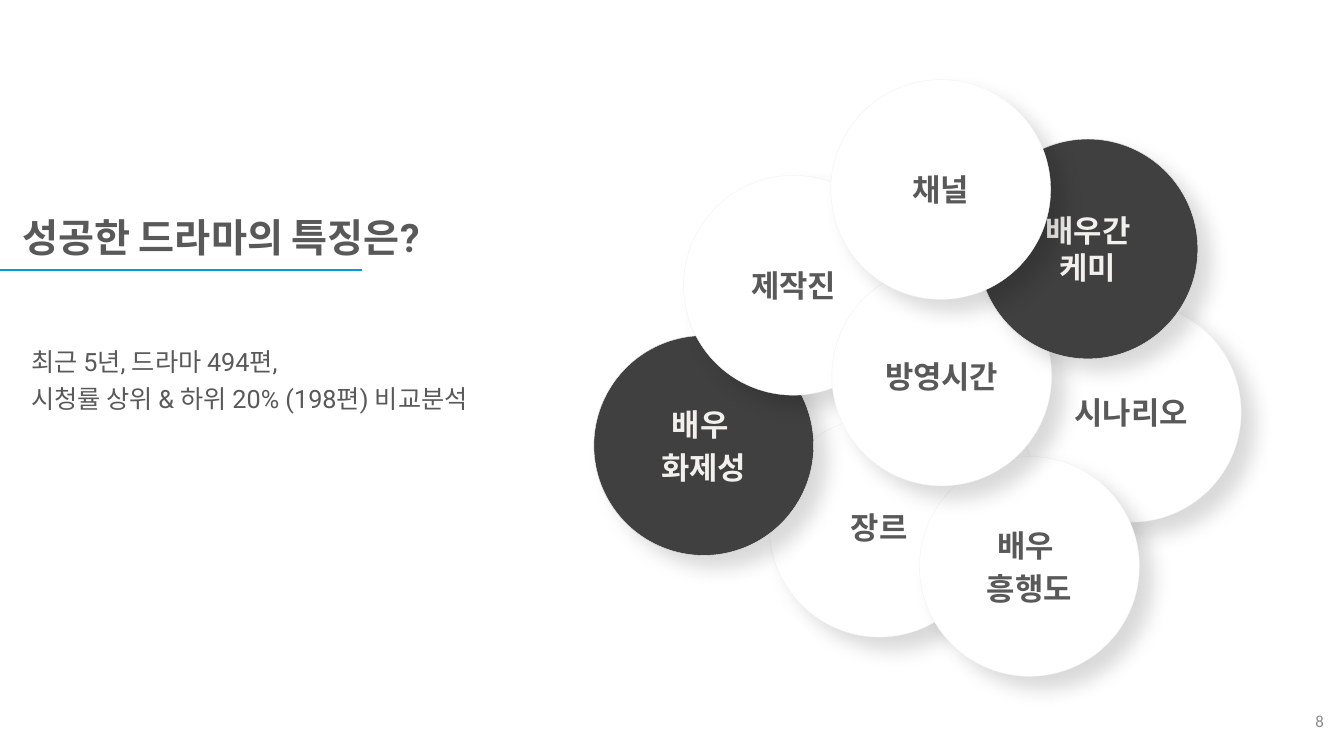
from dataclasses import dataclass

from lxml import etree
from pptx import Presentation
from pptx.dml.color import RGBColor
from pptx.enum.shapes import MSO_CONNECTOR, MSO_SHAPE
from pptx.enum.text import MSO_ANCHOR, PP_ALIGN
from pptx.oxml.ns import qn
from pptx.util import Inches, Pt

OVAL = MSO_SHAPE.OVAL
STRAIGHT = MSO_CONNECTOR.STRAIGHT
TOP, MIDDLE = MSO_ANCHOR.TOP, MSO_ANCHOR.MIDDLE
LEFT, CENTER, RIGHT = PP_ALIGN.LEFT, PP_ALIGN.CENTER, PP_ALIGN.RIGHT


@dataclass(frozen=True)
class Theme:
    font: str = "Roboto"
    number_font: str = "Calibri"
    text: str = "595959"
    muted: str = "8C8C8C"
    accent: str = "019BE0"
    light: str = "FFFFFF"
    dark: str = "404040"
    on_dark: str = "F2F0EC"
    outline: str = "F2F2F2"
    shadow: str = "000000"
    title_size: int = 28
    circle_size: int = 22
    body_size: int = 18
    number_size: int = 12


class SlideBuilder:
    def __init__(self, slide, theme):
        self.s = slide
        self.theme = theme
        self.circles = slide.shapes.add_group_shape()

    def add_lines(self, tf, lines, size, color, bold=False, align=LEFT, after=0, font=None):
        for i, line in enumerate(lines):
            p = tf.paragraphs[0] if i == 0 else tf.add_paragraph()
            p.alignment = align
            p.space_after = Pt(after)
            r = p.add_run()
            r.text = line
            r.font.name = font or self.theme.font
            r.font.size = Pt(size)
            r.font.bold = bold
            r.font.color.rgb = RGBColor.from_string(color)

    def text(self, box, lines, size, color, anchor=TOP, inset=True, **style):
        tf = self.s.shapes.add_textbox(*map(Inches, box)).text_frame
        tf.word_wrap = True
        tf.vertical_anchor = anchor
        if not inset:
            tf.margin_left = tf.margin_right = tf.margin_top = tf.margin_bottom = 0
        self.add_lines(tf, lines, size, color, **style)

    def rule(self, x1, x2, y):
        line = self.s.shapes.add_connector(
            STRAIGHT, Inches(x1), Inches(y), Inches(x2), Inches(y))
        line.line.color.rgb = RGBColor.from_string(self.theme.accent)
        line.line.width = Pt(1.25)
        etree.SubElement(line._element.spPr, qn("a:effectLst"))

    def soft_shadow(self, sp):
        sp.shadow.inherit = False
        effects = sp._element.spPr.find(qn("a:effectLst"))
        outer = etree.SubElement(
            effects, qn("a:outerShdw"), blurRad=str(Pt(14)), dist=str(Pt(13)),
            dir=str(43 * 60000), algn="tl", rotWithShape="0")
        color = etree.SubElement(outer, qn("a:srgbClr"), val=self.theme.shadow)
        etree.SubElement(color, qn("a:alpha"), val="15000")

    def circle(self, x, y, lines, dark=False, after=0):
        t = self.theme
        d = Inches(2.18)
        sp = self.circles.shapes.add_shape(OVAL, Inches(x), Inches(y), d, d)
        sp.fill.solid()
        sp.fill.fore_color.rgb = RGBColor.from_string(t.dark if dark else t.light)
        sp.line.color.rgb = RGBColor.from_string(t.outline)
        sp.line.width = Pt(0.25)
        self.soft_shadow(sp)
        tf = sp.text_frame
        tf.word_wrap = True
        tf.vertical_anchor = MIDDLE
        self.add_lines(tf, lines, t.circle_size, t.on_dark if dark else t.text,
                       bold=True, align=CENTER, after=after)


def main():
    prs = Presentation()
    prs.slide_width, prs.slide_height = Inches(13.33), Inches(7.5)
    theme = Theme()
    b = SlideBuilder(prs.slides.add_slide(prs.slide_layouts[6]), theme)

    b.text((10.23, 6.95, 3, 0.4), ["8"], theme.number_size, theme.muted,
           anchor=MIDDLE, align=RIGHT, font=theme.number_font)
    b.text((0.12, 2.07, 6.52, 0.57), ["성공한 드라마의 특징은?"],
           theme.title_size, theme.text, bold=True)
    b.rule(0, 3.59, 2.68)

    factors = [
        (7.63, 4.14, ["장르"], False, 4.5),
        (5.89, 3.33, ["배우 ", "화제성"], True, 4.5),
        (10.13, 3, ["시나리오"], False, 0),
        (6.78, 1.74, ["제작진"], False, 0),
        (9.12, 4.53, ["배우 ", "흥행도"], False, 4.5),
        (8.25, 2.64, ["방영시간"], False, 0),
        (9.7, 1.38, ["배우간", "케미"], True, 0),
        (8.24, 0.79, ["채널"], False, 0),
    ]
    for factor in factors:
        b.circle(*factor)

    b.text((0.31, 3.44, 4.72, 0.68),
           ["최근 5년, 드라마 494편,", "시청률 상위 & 하위 20% (198편) 비교분석"],
           theme.body_size, theme.text, inset=False, after=4.5)
    prs.save("out.pptx")


if __name__ == "__main__":
    main()
